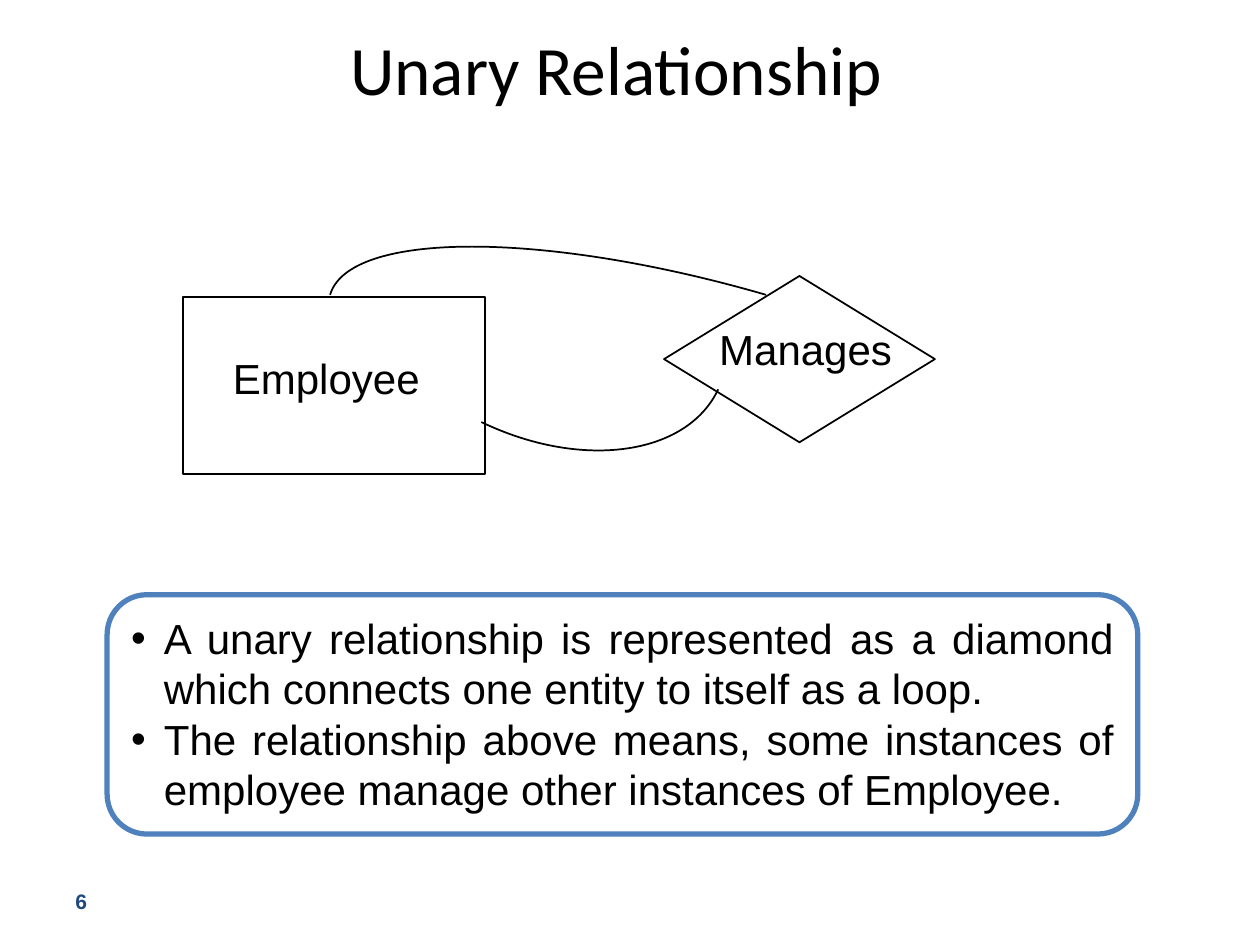
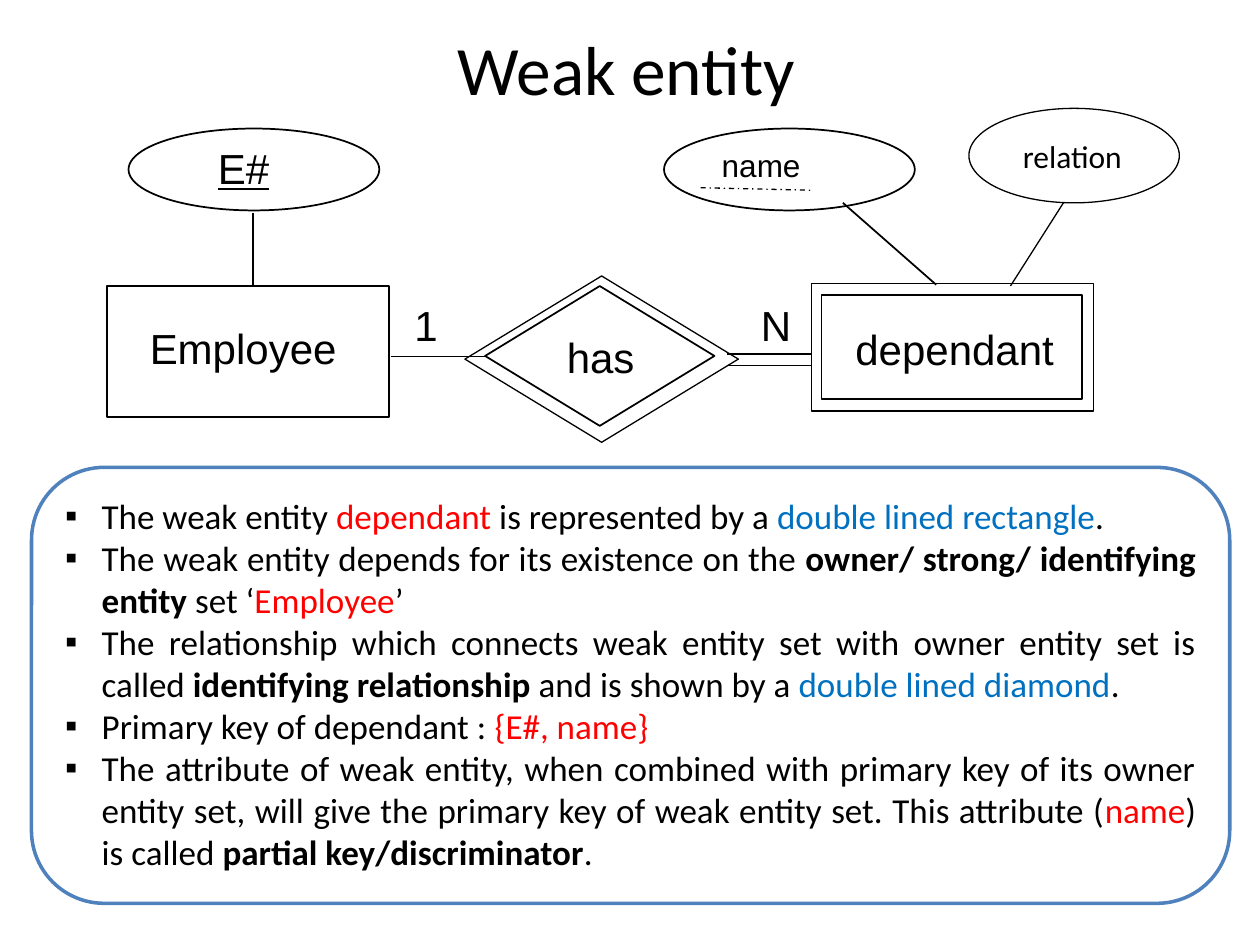
from lxml import etree
from pptx import Presentation
from pptx.dml.color import RGBColor
from pptx.enum.dml import MSO_LINE
from pptx.enum.shapes import MSO_CONNECTOR, MSO_SHAPE
from pptx.enum.text import MSO_ANCHOR, MSO_AUTO_SIZE, PP_ALIGN
from pptx.oxml.ns import qn
from pptx.util import Inches, Pt

RECT, OVAL = MSO_SHAPE.RECTANGLE, MSO_SHAPE.OVAL
DIAMOND, ROUND = MSO_SHAPE.DIAMOND, MSO_SHAPE.ROUNDED_RECTANGLE
STRAIGHT, DASH_DOT = MSO_CONNECTOR.STRAIGHT, MSO_LINE.DASH_DOT
TOP, MIDDLE = MSO_ANCHOR.TOP, MSO_ANCHOR.MIDDLE
LEFT, CENTER, JUSTIFY = PP_ALIGN.LEFT, PP_ALIGN.CENTER, PP_ALIGN.JUSTIFY
GROW = MSO_AUTO_SIZE.SHAPE_TO_FIT_TEXT

BLACK, WHITE, NAVY, FRAME = "000000", "FFFFFF", "1F497D", "4F81BD"
RED, BLUE = {"color": "FF0000"}, {"color": "0070C0"}
BOLD = {"bold": True}


def paint(hue):
    return RGBColor.from_string(hue)


def inches(*sizes):
    return [Inches(size) for size in sizes]


def write(frame, paras, size=24, font="Arial", color=BLACK, bold=False,
          under=False, align=LEFT, anchor=TOP, bullet=None, indent=0):
    """Fill a frame; a paragraph is a text or a list of texts and (text, format) pairs."""
    frame.vertical_anchor = anchor
    for num, parts in enumerate(paras):
        para = frame.add_paragraph() if num else frame.paragraphs[0]
        para.alignment = align
        if bullet:
            props = para._p.get_or_add_pPr()
            props.set("marL", str(Inches(indent)))
            props.set("indent", str(-Inches(indent)))
            etree.SubElement(props, qn("a:buFont"), typeface="Arial")
            etree.SubElement(props, qn("a:buChar"), char=bullet)
        for part in [parts] if isinstance(parts, str) else parts:
            words, extra = (part, {}) if isinstance(part, str) else part
            run = para.add_run()
            run.text = words
            run.font.name = font
            run.font.size = Pt(size)
            run.font.bold = extra.get("bold", bold)
            run.font.underline = under
            run.font.color.rgb = paint(extra.get("color", color))


def label(slide, words, box, wrap=False, grow=True, **style):
    text = slide.shapes.add_textbox(*inches(*box)).text_frame
    text.word_wrap = wrap
    if grow:
        text.auto_size = GROW
    write(text, [words], **style)
    return text


def outline(item, width, hue=BLACK):
    item.line.color.rgb = paint(hue)
    item.line.width = Pt(width)


def shape(slide, kind, box, width=1, hue=BLACK, fill=None):
    item = slide.shapes.add_shape(kind, *inches(*box))
    item.shadow.inherit = False
    if fill:
        item.fill.solid()
        item.fill.fore_color.rgb = paint(fill)
    else:
        item.fill.background()
    outline(item, width, hue)
    return item


def link(slide, start, end, width=1, dash=None):
    line = slide.shapes.add_connector(STRAIGHT, *inches(*start, *end))
    outline(line, width)
    if dash:
        line.line.dash_style = dash
    etree.SubElement(line._element.spPr, qn("a:effectLst"))


def curve(slide, start, *points):
    """Draw one cubic curve: two control points, then the end."""
    pen = slide.shapes.build_freeform(*inches(*start))
    pen.add_line_segments([inches(*point) for point in points], close=False)
    item = pen.convert_to_shape()
    item.shadow.inherit = False
    item.fill.background()
    outline(item, 1)
    route = next(item._element.iter(qn("a:path")))
    bend = etree.SubElement(route, qn("a:cubicBezTo"))
    for step in route.findall(qn("a:lnTo")):
        bend.append(step[0])
        route.remove(step)


def title(slide, words, left):
    text = label(slide, words, (left, 0.26, 9.38, 0.56), wrap=True, grow=False,
                 size=39.6, font="Calibri", align=CENTER, anchor=MIDDLE)
    text.margin_left = 0


def number(slide, words):
    label(slide, words, (0.5, 6.95, 2.33, 0.4), wrap=True, grow=False,
          size=12, color=NAVY, bold=True, anchor=MIDDLE)


def panel(slide, box, paras, width, **style):
    card = shape(slide, ROUND, box, width, FRAME, WHITE)
    card.text_frame.word_wrap = True
    write(card.text_frame, paras, align=JUSTIFY, **style)


def mover(left, top):
    """Return a function that shifts a point or box to the given corner."""
    return lambda x, y, *size: (left + x, top + y, *size)


def loop(slide, left, top):
    """Employee tied to itself through the Manages diamond."""
    at = mover(left, top)
    shape(slide, RECT, at(0, 0.5, 2.4, 1.4))
    shape(slide, DIAMOND, at(3.82, 0.33, 2.15, 1.32))
    curve(slide, at(1.17, 0.48), at(1.32, -0.03), at(2.87, -0.03), at(4.63, 0.48))
    curve(slide, at(4.25, 1.23), at(4, 1.76), at(3.16, 1.87), at(2.37, 1.49))
    label(slide, "Employee", at(0.3, 0.89, 1.68, 0.5))
    label(slide, "Manages", at(4.16, 0.66, 1.57, 0.5))


def owner(slide, left, top):
    """Strong entity with its key."""
    at = mover(left, top)
    shape(slide, RECT, at(0, 1.25, 2.24, 1.04))
    shape(slide, OVAL, at(0.17, 0, 1.99, 0.65))
    link(slide, at(1.16, 0.67), at(1.16, 1.24))
    label(slide, "Employee", at(0.24, 1.49, 1.68, 0.5))
    label(slide, "E#", at(0.78, 0.06, 0.61, 0.5), under=True)


def bond(slide, left, top):
    """Double diamond with its links and counts."""
    at = mover(left, top)
    link(slide, at(0, 0.64), at(0.75, 0.64))
    for y, width in ((0.62, 1), (0.71, 0.75)):
        link(slide, at(2.67, y), at(3.34, y), width)
    shape(slide, DIAMOND, at(0.59, 0, 2.17, 1.32), 0.75)
    shape(slide, DIAMOND, at(0.75, 0.08, 1.82, 1.11))
    label(slide, "has", at(1.3, 0.39, 0.74, 0.5))
    label(slide, "1", at(0.09, 0.14, 0.38, 0.5))
    label(slide, "N", at(2.84, 0.14, 0.44, 0.5))


def weak(slide, left, top):
    """Double rectangle with its two attributes."""
    at = mover(left, top)
    shape(slide, RECT, at(1.17, 1.39, 2.24, 1.01))
    shape(slide, RECT, at(1.25, 1.48, 2.07, 0.83))
    shape(slide, OVAL, at(0, 0.16, 1.99, 0.65))
    shape(slide, OVAL, at(2.42, 0, 1.67, 0.75), 0.75)
    link(slide, at(1.42, 0.75), at(2.16, 1.4))
    link(slide, at(3.17, 0.75), at(2.75, 1.41), 0.75)
    link(slide, at(0.29, 0.63), at(1.18, 0.65), 0.75, DASH_DOT)
    label(slide, "dependant", at(1.42, 1.66, 1.78, 0.5))
    label(slide, "name", at(0.36, 0.25, 1, 0.4), wrap=True, size=18)
    label(slide, "relation", at(2.75, 0.18, 1.25, 0.4), wrap=True,
          size=18, font="Calibri")


def unary_slide(slide):
    title(slide, "Unary Relationship", 0.25)
    loop(slide, 1.45, 1.86)
    panel(slide, (0.85, 4.72, 8.18, 1.9), [
        "A unary relationship is represented as a diamond which connects "
        "one entity to itself as a loop. ",
        "The relationship above means, some instances of employee manage "
        "other instances of Employee.",
    ], 3, bullet="•", indent=0.26)
    number(slide, "6")


def weak_slide(slide):
    title(slide, "Weak entity", 0.33)
    owner(slide, 0.85, 1.02)
    bond(slide, 3.1, 2.19)
    weak(slide, 5.27, 0.86)
    panel(slide, (0.25, 3.71, 9.51, 3.46), [
        ["The weak entity ", ("dependant", RED), " is represented by a ",
         ("double lined rectangle", BLUE), "."],
        ["The weak entity depends for its existence on the ",
         ("owner/ strong/ identifying entity", BOLD), " set ‘",
         ("Employee", RED), "’"],
        ["The relationship which connects weak entity set with owner entity "
         "set is called ", ("identifying relationship ", BOLD),
         "and is shown by a ", ("double lined diamond", BLUE), "."],
        ["Primary key of dependant : ", ("{E#, name}", RED)],
        ["The attribute of weak entity, when combined with primary key of its "
         "owner entity set, will give the primary key of weak entity set. "
         "This attribute (", ("name", RED), ") is called ",
         ("partial key/discriminator", BOLD), "."],
    ], 2, size=20, font="Calibri", bullet="▪", indent=0.29)


def main():
    deck = Presentation()
    deck.slide_width, deck.slide_height = inches(10, 7.5)
    for build in (unary_slide, weak_slide):
        build(deck.slides.add_slide(deck.slide_layouts[6]))
    deck.save("out.pptx")


if __name__ == "__main__":
    main()
